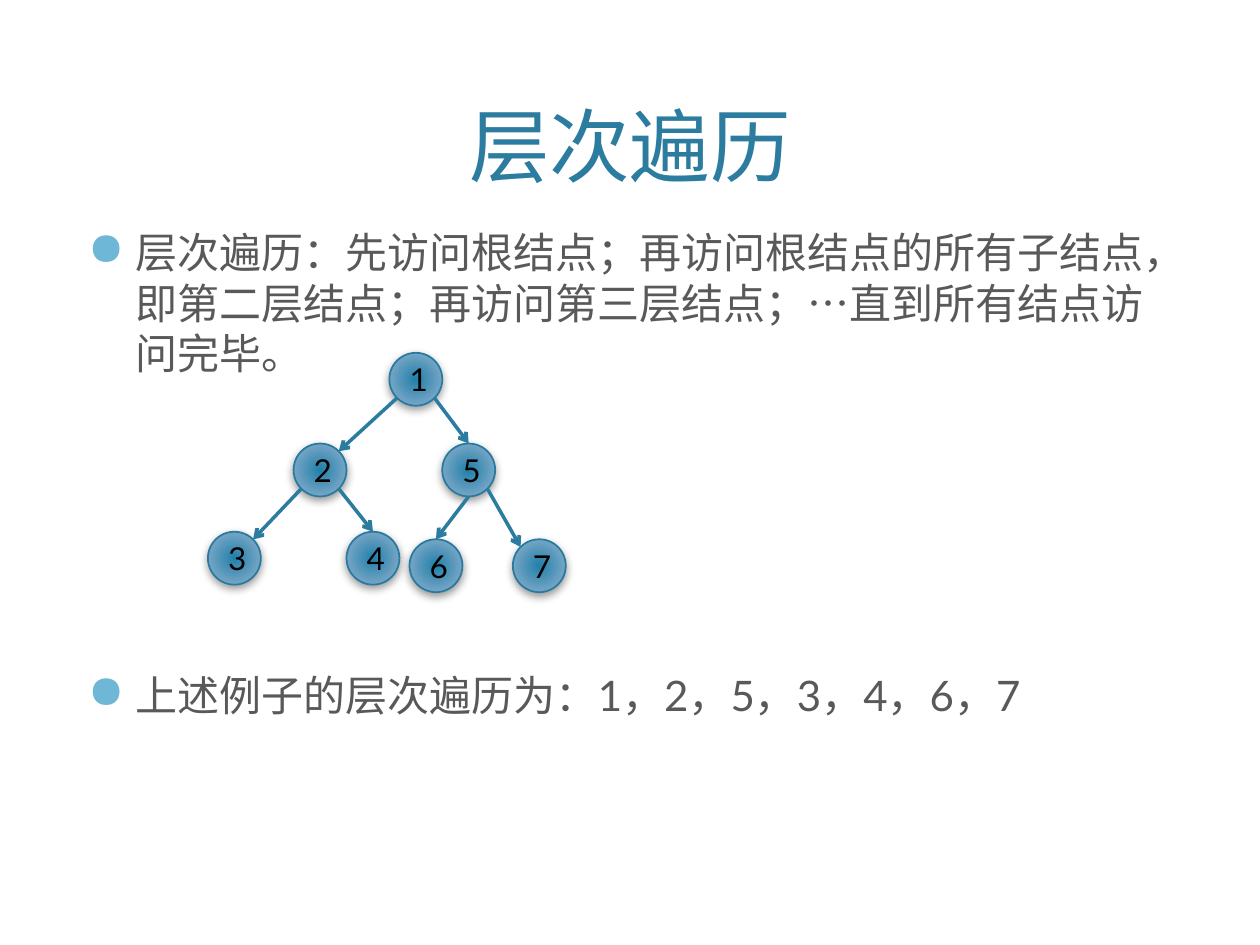
from math import sqrt

from pptx import Presentation
from pptx import util as u
from pptx.dml.color import RGBColor
from pptx.enum import shapes, text
from pptx.oxml import parse_xml
from pptx.oxml.ns import nsdecls, qn
from pptx.oxml.xmlchemy import OxmlElement

COLORS = {
    "title": "2C7C9F",
    "body": "595959",
    "bullet": "6FB7D7",
    "edge": "2C7C9F",
    "outline": "287A9E",
    "digit": "000000",
    "shadow": "000000",
    "core": "2180AA",
    "middle": "75A5C5",
    "rim": "B8CCDC",
}
FONT = "Lato"
DIAMETER = 0.42
NODES = {
    "1": (3.09, 2.8),
    "2": (2.33, 3.52),
    "5": (3.51, 3.52),
    "3": (1.65, 4.22),
    "4": (2.75, 4.22),
    "6": (3.25, 4.28),
    "7": (4.07, 4.28),
}
DIAGONAL = 1 / sqrt(2)
SITES = {
    "top": (0, -1),
    "bottom": (0, 1),
    "top left": (-DIAGONAL, -DIAGONAL),
    "top right": (DIAGONAL, -DIAGONAL),
    "bottom left": (-DIAGONAL, DIAGONAL),
    "bottom right": (DIAGONAL, DIAGONAL),
}
EDGES = [
    ("1", "bottom left", "2", "top right"),
    ("1", "bottom right", "5", "top"),
    ("2", "bottom left", "3", "top right"),
    ("2", "bottom right", "4", "top"),
    ("5", "bottom", "6", "top"),
    ("5", "bottom right", "7", "top left"),
]
BULLETS = [
    ("层次遍历：先访问根结点；再访问根结点的所有子结点，即第二层结点；"
     "再访问第三层结点；…直到所有结点访问完毕。", 20),
    ("上述例子的层次遍历为：1，2，5，3，4，6，7", 166.5),
]


def rgb(name):
    return RGBColor.from_string(COLORS[name])


def format_runs(paragraph, size, color):
    for run in paragraph.runs:
        run.font.name = FONT
        run.font.size = u.Pt(size)
        run.font.color.rgb = rgb(color)


def add_text_frame(slide, left, top, width, height):
    box = slide.shapes.add_textbox(*map(u.Inches, (left, top, width, height)))
    box.text_frame.word_wrap = True
    return box.text_frame


def add_title(slide, wording):
    title = add_text_frame(slide, 0.6, 0.12, 8.8, 1.46)
    title.vertical_anchor = text.MSO_ANCHOR.BOTTOM
    title.text = wording
    title.paragraphs[0].alignment = text.PP_ALIGN.CENTER
    format_runs(title.paragraphs[0], 46, "title")


def set_bullet(paragraph):
    props = paragraph._p.get_or_add_pPr()
    props.set("marL", str(u.Inches(0.38)))
    props.set("indent", str(u.Inches(-0.38)))
    for xml in (
        f'<a:buClr {nsdecls("a")}><a:srgbClr val="{COLORS["bullet"]}"/></a:buClr>',
        f'<a:buSzPct {nsdecls("a")} val="110000"/>',
        f'<a:buChar {nsdecls("a")} char="●"/>',
    ):
        props.append(parse_xml(xml))


def add_bullets(slide):
    body = add_text_frame(slide, 0.6, 1.75, 8.8, 4.75)
    body.text = "\n".join(wording for wording, _ in BULLETS)
    for paragraph, (_, gap) in zip(body.paragraphs, BULLETS):
        paragraph.space_before = u.Pt(gap)
        set_bullet(paragraph)
        format_runs(paragraph, 24, "body")


def set_radial_fill(node):
    node.fill.gradient()
    stops = "".join(
        f'<a:gs pos="{position * 1000}"><a:srgbClr val="{COLORS[name]}"/></a:gs>'
        for position, name in ((0, "core"), (69, "middle"), (100, "rim"))
    )
    radial = parse_xml(
        f'<a:gradFill {nsdecls("a")} rotWithShape="1"><a:gsLst>{stops}</a:gsLst>'
        '<a:path path="circle"><a:fillToRect l="100000" t="100000" '
        'r="100000" b="100000"/></a:path></a:gradFill>'
    )
    props = node._element.spPr
    props.replace(props.find(qn("a:gradFill")), radial)


def set_shadow(node):
    node.shadow.inherit = False
    node._element.spPr.find(qn("a:effectLst")).append(parse_xml(
        f'<a:outerShdw {nsdecls("a")} blurRad="{u.Pt(5)}" dist="{u.Pt(2)}" '
        f'dir="5400000" rotWithShape="0"><a:srgbClr val="{COLORS["shadow"]}">'
        '<a:alpha val="40000"/></a:srgbClr></a:outerShdw>'
    ))


def add_node(slide, digit, left, top):
    node = slide.shapes.add_shape(
        shapes.MSO_SHAPE.OVAL,
        *map(u.Inches, (left, top, DIAMETER, DIAMETER)),
    )
    set_radial_fill(node)
    node.line.color.rgb = rgb("outline")
    node.line.width = u.Pt(1)
    set_shadow(node)
    label = node.text_frame
    label.text = digit
    label.vertical_anchor = text.MSO_ANCHOR.MIDDLE
    label.paragraphs[0].alignment = text.PP_ALIGN.CENTER
    format_runs(label.paragraphs[0], 18, "digit")


def site_point(digit, site):
    radius = DIAMETER / 2
    return [
        u.Inches(corner + radius * (1 + direction))
        for corner, direction in zip(NODES[digit], SITES[site])
    ]


def add_edge(slide, parent, parent_site, child, child_site):
    edge = slide.shapes.add_connector(
        shapes.MSO_CONNECTOR.STRAIGHT,
        *site_point(parent, parent_site),
        *site_point(child, child_site),
    )
    edge.line.color.rgb = rgb("edge")
    edge.line.width = u.Pt(2)
    arrowhead = OxmlElement("a:tailEnd")
    arrowhead.set("type", "arrow")
    edge.line._get_or_add_ln().append(arrowhead)
    edge._element.spPr.append(OxmlElement("a:effectLst"))


def main():
    deck = Presentation()
    deck.slide_width, deck.slide_height = u.Inches(10), u.Inches(7.5)
    slide = deck.slides.add_slide(deck.slide_layouts[6])
    add_title(slide, "层次遍历")
    add_bullets(slide)
    for digit, corner in NODES.items():
        add_node(slide, digit, *corner)
    for edge in EDGES:
        add_edge(slide, *edge)
    deck.save("out.pptx")


if __name__ == "__main__":
    main()
